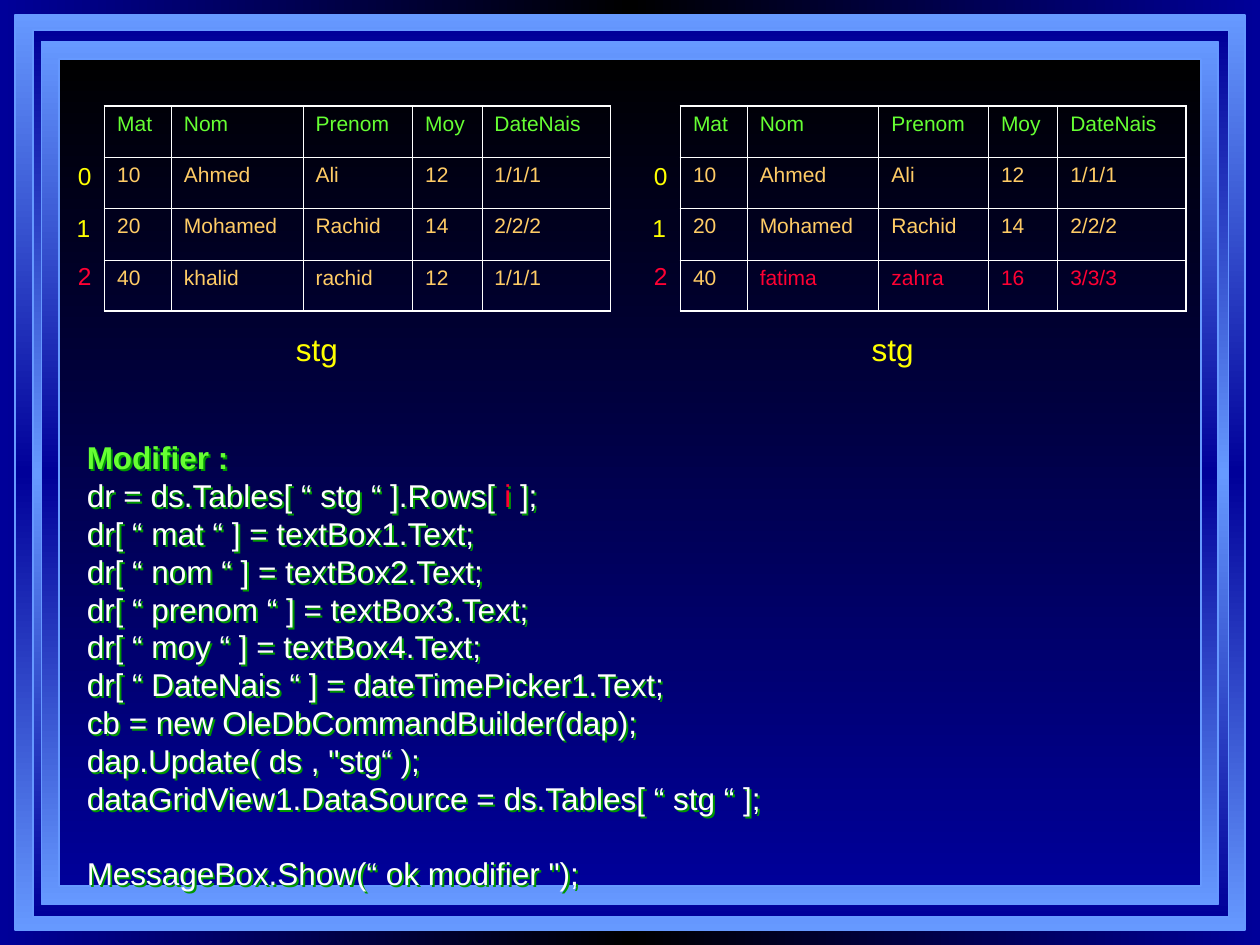
from copy import deepcopy

from lxml.etree import SubElement
from pptx import Presentation
from pptx.dml.color import RGBColor
from pptx.enum.shapes import MSO_SHAPE
from pptx.enum.text import MSO_ANCHOR, MSO_AUTO_SIZE
from pptx.oxml import parse_xml
from pptx.oxml.ns import nsdecls, qn
from pptx.util import Emu, Inches, Pt

NAVY = RGBColor(0x00, 0x00, 0x99)
BLACK = RGBColor(0x00, 0x00, 0x00)
SKY = RGBColor(0x66, 0x99, 0xFF)
WHITE = RGBColor(0xFF, 0xFF, 0xFF)
GREEN = RGBColor(0x66, 0xFF, 0x33)
DARK_GREEN = RGBColor(0x00, 0x99, 0x00)
YELLOW = RGBColor(0xFF, 0xFF, 0x00)
AMBER = RGBColor(0xFF, 0xCC, 0x66)
RED = RGBColor(0xFF, 0x00, 0x33)

COLUMNS, ROWS = 100, 75
PANEL_STEP = 45.7
THIN, THICK = Pt(0.45), Pt(1.08)

# Nested frames, from the outside in: place and gradient colours
FRAMES = [
    ((1.2, 1.2, 97.6, 72.6), (SKY, NAVY, SKY)),
    ((2.6, 2.4, 94.9, 70.4), (NAVY, SKY, NAVY)),
    ((3.3, 3.3, 93.4, 68.5), (SKY, NAVY, SKY)),
    ((4.7, 4.7, 90.6, 65.6), (BLACK, NAVY)),
]

# Table before and after the update
COLUMN_WIDTHS = [5.3, 10.45, 8.7, 5.5, 10.2]
SHARED_ROWS = [
    ["Mat", "Nom", "Prenom", "Moy", "DateNais"],
    ["10", "Ahmed", "Ali", "12", "1/1/1"],
    ["20", "Mohamed", "Rachid", "14", "2/2/2"],
]
PANELS = [
    (["40", "khalid", "rachid", "12", "1/1/1"], AMBER),
    (["40", "fatima", "zahra", "16", "3/3/3"], RED),
]
ROW_LABELS = [("0", 5.2, 12.3, YELLOW), ("1", 5.1, 16.4, YELLOW), ("2", 5.2, 20.2, RED)]

CODE = [
    [("Modifier :", GREEN)],
    [("dr = ds.Tables[ “ stg “ ].Rows[ ", WHITE), ("i", RED), (" ];", WHITE)],
    [("dr[ “ mat “ ] = textBox1.Text;", WHITE)],
    [("dr[ “ nom “ ] = textBox2.Text;", WHITE)],
    [("dr[ “ prenom “ ] = textBox3.Text;", WHITE)],
    [("dr[ “ moy “ ] = textBox4.Text;", WHITE)],
    [("dr[ “ DateNais “ ] = dateTimePicker1.Text;", WHITE)],
    [("cb = new OleDbCommandBuilder(dap);", WHITE)],
    [("dap.Update( ds , \"stg“ );", WHITE)],
    [("dataGridView1.DataSource = ds.Tables[ “ stg “ ];", WHITE)],
    [("MessageBox.Show(“ ok modifier \");", WHITE)],
]


class SlideBuilder:
    """Holds the style and the current slide; lengths are grid columns and rows."""

    font_name = "Arial"

    def __init__(self, deck):
        self.page = deck.slides.add_slide(deck.slide_layouts[6])
        self.column = deck.slide_width / COLUMNS
        self.row = deck.slide_height / ROWS

    def place(self, left, top, width, height):
        return [Emu(round(length * unit)) for length, unit in
                zip((left, top, width, height), (self.column, self.row) * 2)]

    def gradient(self, fill, element, colors, angle):
        fill.gradient()
        fill.gradient_angle = angle
        stop_list = next(element.iter(qn("a:gsLst")))
        for _ in colors[2:]:
            stop_list.append(deepcopy(stop_list[-1]))
        for index, (stop, color) in enumerate(zip(fill.gradient_stops, colors)):
            stop.color.rgb = color
            stop.position = index / (len(colors) - 1)

    def background(self, colors):
        self.gradient(self.page.background.fill, self.page.element, colors, 0)

    def frame(self, area, colors):
        shape = self.page.shapes.add_shape(MSO_SHAPE.RECTANGLE, *self.place(*area))
        shape.shadow.inherit = False
        self.gradient(shape.fill, shape.element, colors, 270)
        shape.line.color.rgb = SKY
        shape.line.width = Pt(1)

    def span(self, para, text, color, **style):
        span = para.add_run()
        span.text = text
        for name, value in {"name": self.font_name, **style}.items():
            setattr(span.font, name, value)
        span.font.color.rgb = color

    def label(self, area, text, color, size):
        box = self.page.shapes.add_textbox(*self.place(*area))
        box.text_frame.word_wrap = False
        box.text_frame.auto_size = MSO_AUTO_SIZE.SHAPE_TO_FIT_TEXT
        self.span(box.text_frame.paragraphs[0], text, color, size=Pt(size))

    def code(self, area, lines):
        box = self.page.shapes.add_textbox(*self.place(*area))
        frame = box.text_frame
        frame.word_wrap = True
        frame.vertical_anchor = MSO_ANCHOR.MIDDLE
        line_height = Pt(21.6)
        for index, spans in enumerate(lines):
            para = frame.add_paragraph() if index else frame.paragraphs[0]
            para.line_spacing = line_height
            for text, color in spans:
                self.span(para, text, color, size=Pt(18), bold=index == 0)
        para.space_before = line_height  # sets the message apart
        # An unfilled box passes its shadow on to its text
        box.element.spPr.append(parse_xml(
            f'<a:effectLst {nsdecls("a")}><a:outerShdw dist="20000" dir="2700000">'
            f'<a:srgbClr val="{DARK_GREEN}"/></a:outerShdw></a:effectLst>'))

    def borders(self, cell, widths):
        properties = cell._tc.get_or_add_tcPr()
        for index, (side, width) in enumerate(widths.items()):
            line = SubElement(properties, qn(f"a:ln{side}"), w=str(width))
            fill = SubElement(line, qn("a:solidFill"))
            SubElement(fill, qn("a:srgbClr"), val=str(WHITE))
            properties.insert(index, line)

    def table(self, area, rows, last_color):
        shape = self.page.shapes.add_table(len(rows), len(rows[0]), *self.place(*area))
        table = shape.table
        table.first_row = table.horz_banding = False
        for column, width in zip(table.columns, COLUMN_WIDTHS):
            column.width = Emu(round(width * self.column))
        last_row, last_column = len(rows) - 1, len(rows[0]) - 1
        for r, values in enumerate(rows):
            for c, value in enumerate(values):
                cell = table.cell(r, c)
                cell.fill.background()
                changed = r == last_row and c > 0
                color = GREEN if r == 0 else last_color if changed else AMBER
                self.span(cell.text_frame.paragraphs[0], value, color, size=Pt(12))
                outer = {"L": c == 0, "R": c == last_column,
                         "T": r == 0, "B": r == last_row}
                self.borders(cell, {side: THICK if edge else THIN
                                    for side, edge in outer.items()})


def main():
    deck = Presentation()
    deck.slide_width, deck.slide_height = Inches(10), Inches(7.5)
    slide = SlideBuilder(deck)

    # Backdrop
    slide.background((NAVY, BLACK, NAVY))
    for area, colors in FRAMES:
        slide.frame(area, colors)

    # Code
    slide.code((5.9, 34.3, 55.9, 37), CODE)

    # Tables with their captions and row numbers
    for index, (last_row, last_color) in enumerate(PANELS):
        shift = index * PANEL_STEP
        slide.label((22.5 + shift, 25.7, 5.4, 4), "stg", YELLOW, 18)
        slide.table((8.3 + shift, 8.4, sum(COLUMN_WIDTHS), 16.3),
                    SHARED_ROWS + [last_row], last_color)
        for text, left, top, color in ROW_LABELS:
            slide.label((left + shift, top, 3.1, 3.4), text, color, 14)

    deck.save("out.pptx")


if __name__ == "__main__":
    main()
